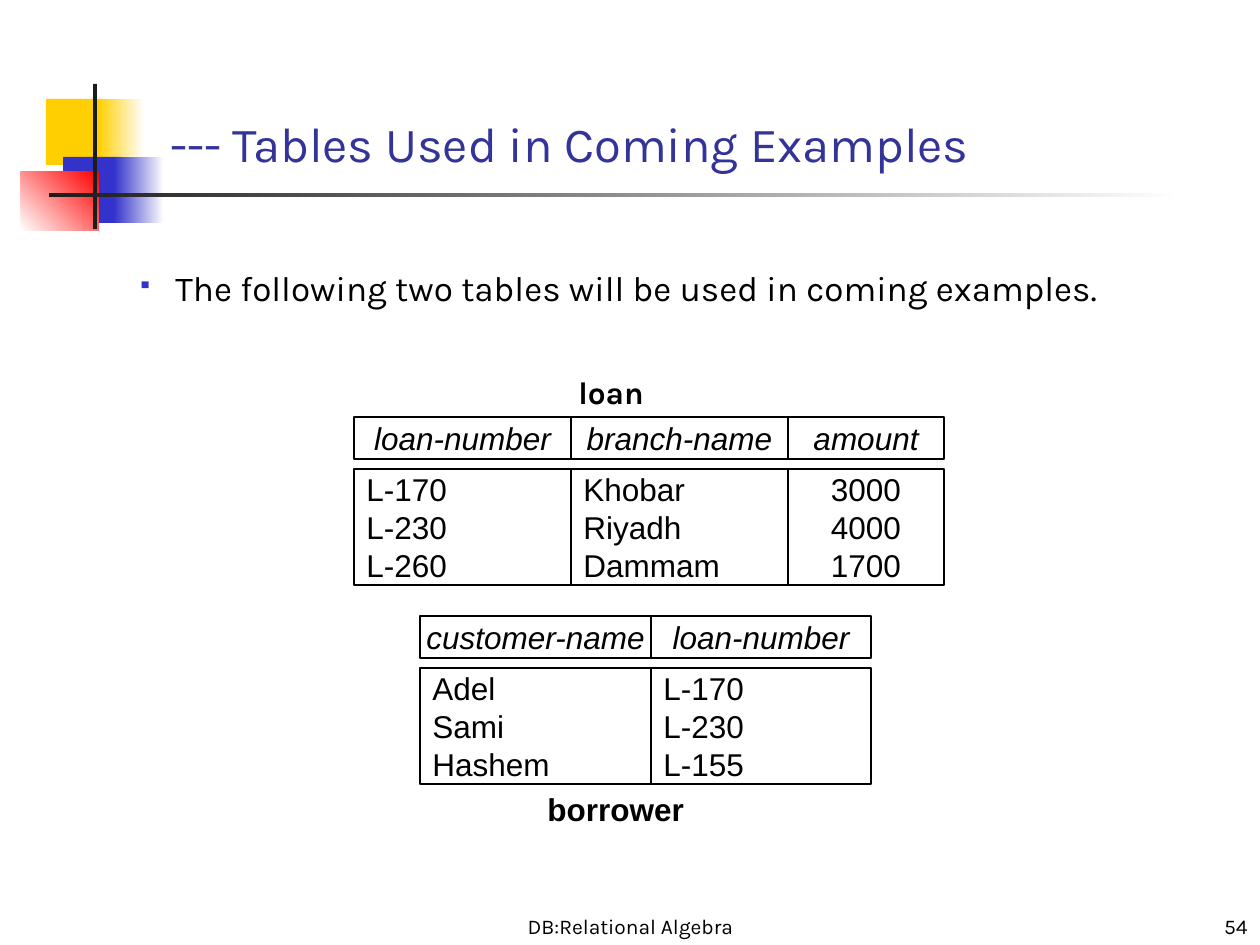
from dataclasses import dataclass

from lxml import etree
from pptx import Presentation
from pptx import util as u
from pptx.dml.color import RGBColor
from pptx.enum import shapes, text
from pptx.oxml.ns import qn

PX_PER_INCH = 126
HEADER_HEIGHT, BODY_HEIGHT, HEADER_GAP = 42, 116, 10
COLORS = {
    "yellow": "FFCF01", "blue": "3333CC", "red": "FF0000", "dark": "1C1C1C",
    "white": "FFFFFF", "black": "000000", "title": "333399",
}
LEFT, CENTER, RIGHT = text.PP_ALIGN.LEFT, text.PP_ALIGN.CENTER, text.PP_ALIGN.RIGHT
TOP, MIDDLE, BOTTOM = (
    text.MSO_ANCHOR.TOP, text.MSO_ANCHOR.MIDDLE, text.MSO_ANCHOR.BOTTOM)


@dataclass(frozen=True)
class Box:
    left: int
    top: int
    width: int
    height: int


@dataclass(frozen=True)
class Ornament:
    """A solid block, or a gradient one when fade_to is given."""
    box: Box
    color: str
    fade_to: str = ""
    angle: int = 0


@dataclass(frozen=True)
class Style:
    size: int = 18
    font: str = "Arial"
    color: str = "black"
    bold: bool = False
    italic: bool = False
    align: text.PP_ALIGN = LEFT
    anchor: text.MSO_ANCHOR = MIDDLE
    wrap: bool = True


@dataclass(frozen=True)
class Label:
    box: Box
    wording: str
    style: Style


@dataclass(frozen=True)
class Column:
    heading: str
    width: int
    values: tuple[str, ...]
    align: text.PP_ALIGN = LEFT


@dataclass(frozen=True)
class Relation:
    left: int
    top: int
    columns: tuple[Column, ...]


ORNAMENTS = (
    Ornament(Box(46, 99, 60, 66), "yellow"),
    Ornament(Box(98, 99, 46, 66), "yellow", "white"),
    Ornament(Box(63, 157, 58, 66), "blue"),
    Ornament(Box(114, 157, 50, 66), "blue", "white"),
    Ornament(Box(21, 172, 78, 59), "white", "red", 45),
    Ornament(Box(93, 84, 4, 145), "dark"),
    Ornament(Box(49, 193, 1134, 4), "dark", "white"),
)

FOOTER = Style(12, "Karla", align=CENTER, anchor=BOTTOM)
LABELS = (
    Label(Box(431, 892, 399, 53), "DB:Relational Algebra", FOOTER),
    Label(Box(998, 892, 262, 53), "54",
          Style(12, "Karla", align=RIGHT, anchor=BOTTOM)),
    Label(Box(158, 95, 1073, 84), "--- Tables Used in Coming Examples",
          Style(28, "Karla", "title", anchor=BOTTOM)),
    Label(Box(566, 367, 112, 62), "loan",
          Style(font="Karla", bold=True, anchor=TOP)),
    Label(Box(535, 784, 208, 67), "borrower", Style(bold=True, anchor=TOP)),
)
INTRO = Label(Box(125, 252, 1023, 63),
              "The following two tables will be used in coming examples.",
              Style(20, "Karla", anchor=BOTTOM))

HEADING = Style(italic=True, align=CENTER, wrap=False)
BORROWER = Relation(420, 616, (
    Column("customer-name", 231, ("Adel", "Sami", "Hashem")),
    Column("loan-number", 220, ("L-170", "L-230", "L-155")),
))
LOAN = Relation(354, 417, (
    Column("loan-number", 217, ("L-170", "L-230", "L-260")),
    Column("branch-name", 217, ("Khobar", "Riyadh", "Dammam")),
    Column("amount", 156, ("3000", "4000", "1700"), CENTER),
))


def px(length: int) -> u.Emu:
    return u.Emu(round(length * 914400 / PX_PER_INCH))


def place(box: Box) -> tuple[u.Emu, ...]:
    return px(box.left), px(box.top), px(box.width), px(box.height)


def rgb(name: str) -> RGBColor:
    return RGBColor.from_string(COLORS[name])


def write(frame, lines: tuple[str, ...], style: Style) -> None:
    frame.word_wrap = style.wrap
    frame.vertical_anchor = style.anchor
    for number, line in enumerate(lines):
        paragraph = frame.add_paragraph() if number else frame.paragraphs[0]
        paragraph.alignment = style.align
        run = paragraph.add_run()
        run.text = line
        run.font.size = u.Pt(style.size)
        run.font.name = style.font
        run.font.bold = style.bold
        run.font.italic = style.italic
        run.font.color.rgb = rgb(style.color)


def add_rectangle(parent, box: Box):
    rectangle = parent.add_shape(shapes.MSO_SHAPE.RECTANGLE, *place(box))
    rectangle.shadow.inherit = False
    return rectangle


def draw_ornament(slide, ornament: Ornament) -> None:
    block = add_rectangle(slide.shapes, ornament.box)
    block.line.fill.background()
    if not ornament.fade_to:
        block.fill.solid()
        block.fill.fore_color.rgb = rgb(ornament.color)
        return
    block.fill.gradient()
    block.fill.gradient_angle = ornament.angle
    for stop, color in zip(block.fill.gradient_stops,
                           (ornament.color, ornament.fade_to)):
        stop.color.rgb = rgb(color)


def draw_label(slide, label: Label):
    frame = slide.shapes.add_textbox(*place(label.box)).text_frame
    write(frame, (label.wording,), label.style)
    return frame


def add_bullet(paragraph, indent: int) -> None:
    properties = paragraph._p.get_or_add_pPr()
    properties.set("marL", str(px(indent)))
    properties.set("indent", str(-px(indent)))
    color = etree.SubElement(properties, qn("a:buClr"))
    etree.SubElement(color, qn("a:srgbClr"), val=COLORS["blue"])
    etree.SubElement(properties, qn("a:buSzPct"), val="60000")
    etree.SubElement(properties, qn("a:buChar"), char="▪")


def draw_cell(group, box: Box, lines: tuple[str, ...], style: Style) -> None:
    cell = add_rectangle(group.shapes, box)
    cell.fill.solid()
    cell.fill.fore_color.rgb = rgb("white")
    cell.line.color.rgb = rgb("black")
    cell.line.width = u.Pt(0.75)
    write(cell.text_frame, lines, style)


def draw_relation(slide, relation: Relation) -> None:
    group = slide.shapes.add_group_shape()
    left = relation.left
    body_top = relation.top + HEADER_HEIGHT + HEADER_GAP
    for column in relation.columns:
        draw_cell(group, Box(left, relation.top, column.width, HEADER_HEIGHT),
                  (column.heading,), HEADING)
        draw_cell(group, Box(left, body_top, column.width, BODY_HEIGHT),
                  column.values, Style(align=column.align))
        left += column.width


def main() -> None:
    deck = Presentation()
    deck.slide_width, deck.slide_height = px(1260), px(945)
    slide = deck.slides.add_slide(deck.slide_layouts[6])
    for ornament in ORNAMENTS:
        draw_ornament(slide, ornament)
    for label in LABELS:
        draw_label(slide, label)
    for relation in (BORROWER, LOAN):
        draw_relation(slide, relation)
    intro = draw_label(slide, INTRO)
    add_bullet(intro.paragraphs[0], indent=38)
    deck.save("out.pptx")


if __name__ == "__main__":
    main()
